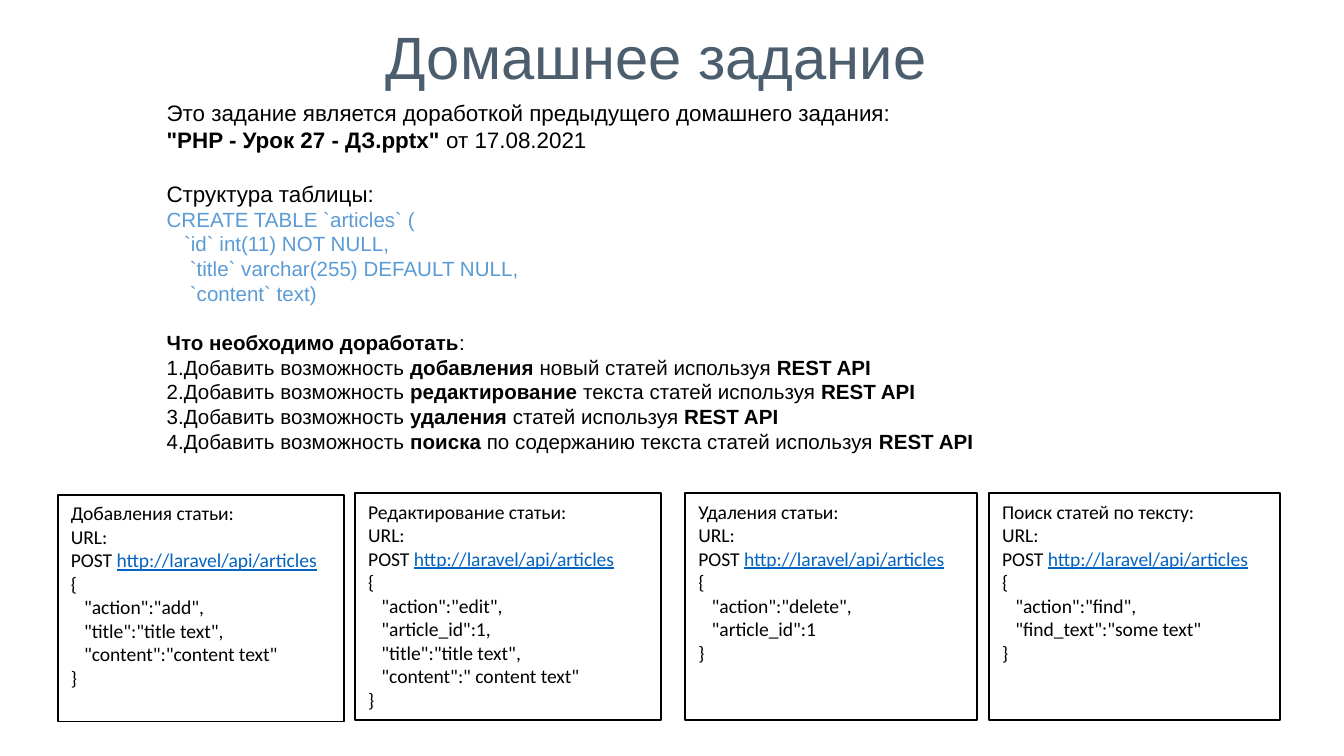
"""Build the homework slide: task text and four request cards."""
from pptx import Presentation
from pptx.dml.color import RGBColor
from pptx.enum.shapes import MSO_SHAPE as Kind
from pptx.enum.text import MSO_ANCHOR as Anchor, PP_ALIGN as Align
from pptx.util import Cm, Pt
from lxml.etree import SubElement
from pptx.oxml.ns import qn

BLACK, BLUE, LINK, SLATE, WHITE = "000000", "5B9BD5", "0563C1", "4C5D6E", "FFFFFF"
TITLE = "Домашнее задание"
INTRO = [
    "Это задание является доработкой предыдущего домашнего задания:",
    '*"PHP - Урок 27 - ДЗ.pptx"* от 17.08.2021',
]
HEAD = "Структура таблицы:"
TABLE = [
    ("CREATE TABLE `articles` (", 1),
    ("`id` int(11) NOT NULL,", 1.33),
    ("`title` varchar(255) DEFAULT NULL,", 1.44),
    ("`content` text)", 1.44),
]
GOAL = "*Что необходимо доработать*:"
TASKS = [
    ("добавления", "новый статей"),
    ("редактирование", "текста статей"),
    ("удаления", "статей"),
    ("поиска", "по содержанию текста статей"),
]
CARDS = [
    ("Добавления статьи:", 1.09, 9.35, 5.41,
     ['"action":"add",', '"title":"title text",', '"content":"content text"']),
    ("Редактирование статьи:", 6.71, 9.32, 5.79,
     ['"action":"edit",', '"article_id":1,', '"title":"title text",',
      '"content":" content text"']),
    ("Удаления статьи:", 12.95, 9.32, 5.51,
     ['"action":"delete",', '"article_id":1']),
    ("Поиск статей по тексту:", 18.69, 9.32, 5.51,
     ['"action":"find",', '"find_text":"some text"']),
]
CALL = ["URL:", "POST *http://laravel/api/articles*", "{"]


def rgb(code):
    return RGBColor.from_string(code)


def write(para, text, size, face="Arial", tint=BLACK, link=False):
    for pos, part in enumerate(text.split("*")):
        if not part:
            continue
        run = para.add_run()
        run.text = part
        font, mark = run.font, pos % 2 == 1
        font.size, font.name = Pt(size), face
        font.bold = mark and not link
        font.underline = mark and link
        font.color.rgb = rgb(LINK if mark and link else tint)


def indent(para, left, first):
    props = para._p.get_or_add_pPr()
    props.set("marL", str(Cm(left)))
    props.set("indent", str(Cm(first)))
    return props


def lines(frame, count):
    frame.word_wrap = True
    return [frame.paragraphs[0]] + [frame.add_paragraph() for _ in range(count - 1)]


def add_body(slide):
    rows = [(text, 12, BLACK, 0, 1, False) for text in INTRO]
    rows.append((HEAD, 12, BLACK, 0, 1, False))
    rows += [(text, 11, BLUE, 0, first, False) for text, first in TABLE]
    rows.append((GOAL, 11, BLACK, 0.64, 0.36, False))
    rows += [(f"Добавить возможность *{verb}* {what} используя *REST API*",
              11, BLACK, 0.64, 0.36, True) for verb, what in TASKS]
    box = slide.shapes.add_textbox(Cm(1.9), Cm(1.75), Cm(21.8), Cm(7.01))
    for para, row in zip(lines(box.text_frame, len(rows)), rows):
        text, size, tint, left, first, num = row
        write(para, text, size, tint=tint)
        para.line_spacing = Pt(size * 1.2)
        if text in (HEAD, GOAL):
            para.space_before = Pt(size * 1.2)
        props = indent(para, left, first)
        if num:
            SubElement(props, qn("a:buAutoNum")).set("type", "arabicPeriod")


def add_card(slide, name, left, top, width, body):
    card = slide.shapes.add_shape(Kind.RECTANGLE, Cm(left), Cm(top), Cm(width), Cm(4.29))
    card.shadow.inherit = False
    card.fill.solid()
    card.fill.fore_color.rgb = rgb(WHITE)
    card.line.color.rgb = rgb(BLACK)
    card.line.width = Pt(1)
    card.text_frame.vertical_anchor = Anchor.TOP
    rows = [name, *CALL, *body, "}"]
    for para, text in zip(lines(card.text_frame, len(rows)), rows):
        para.alignment = Align.LEFT
        write(para, text, 10.5, "Calibri", link=True)
        if text in body:
            indent(para, 0, 0.25)


def add_title(slide):
    box = slide.shapes.add_textbox(Cm(2.9), Cm(0.15), Cm(19.02), Cm(1.8))
    frame = box.text_frame
    frame.vertical_anchor = Anchor.MIDDLE
    frame.margin_top = frame.margin_bottom = Cm(0.25)
    para = lines(frame, 1)[0]
    para.alignment = Align.CENTER
    write(para, TITLE, 32, tint=SLATE)


def main():
    deck = Presentation()
    deck.slide_width, deck.slide_height = Cm(25.4), Cm(14.29)
    slide = deck.slides.add_slide(deck.slide_layouts[6])
    add_title(slide)
    add_body(slide)
    for card in CARDS:
        add_card(slide, *card)
    deck.save("out.pptx")


if __name__ == "__main__":
    main()
